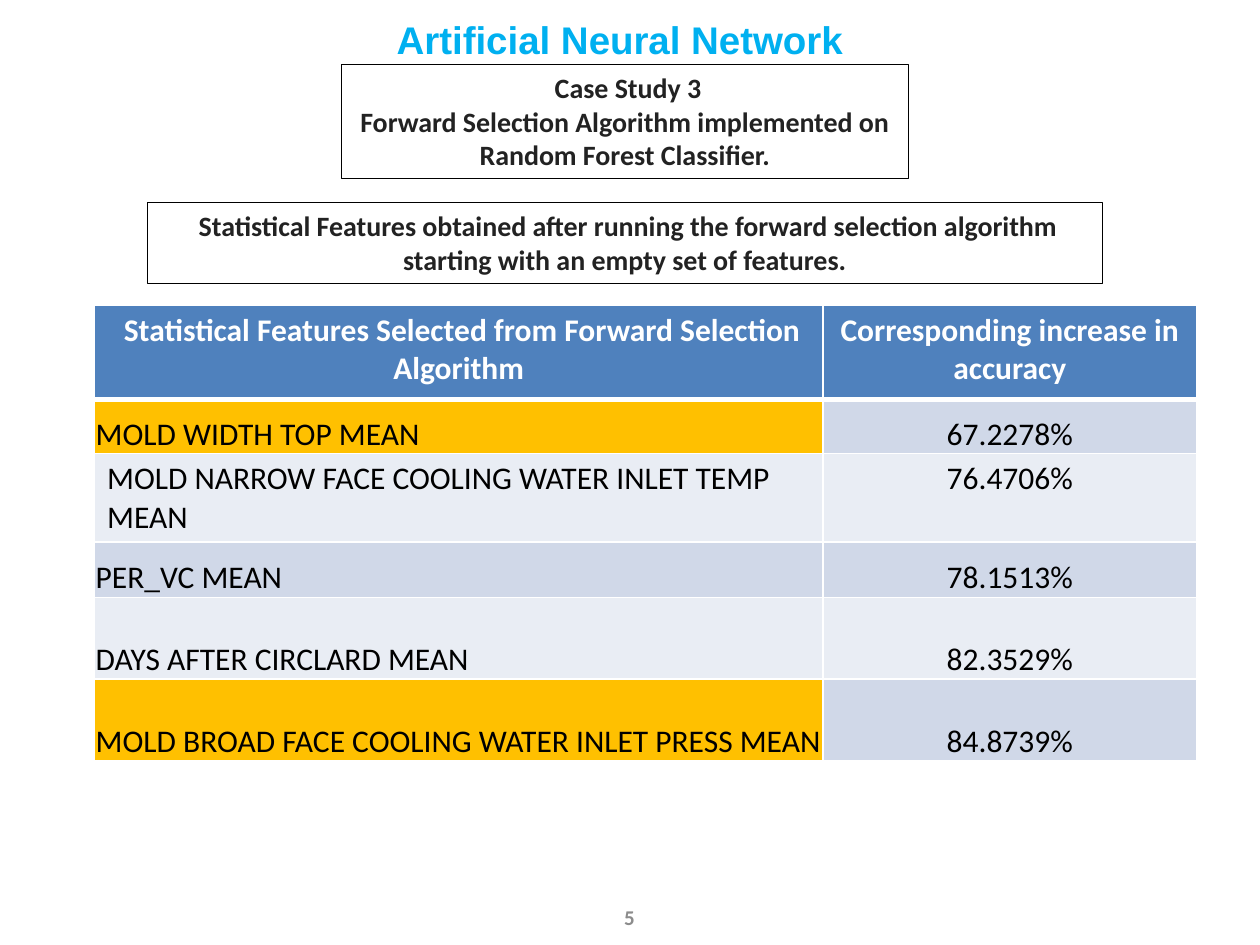
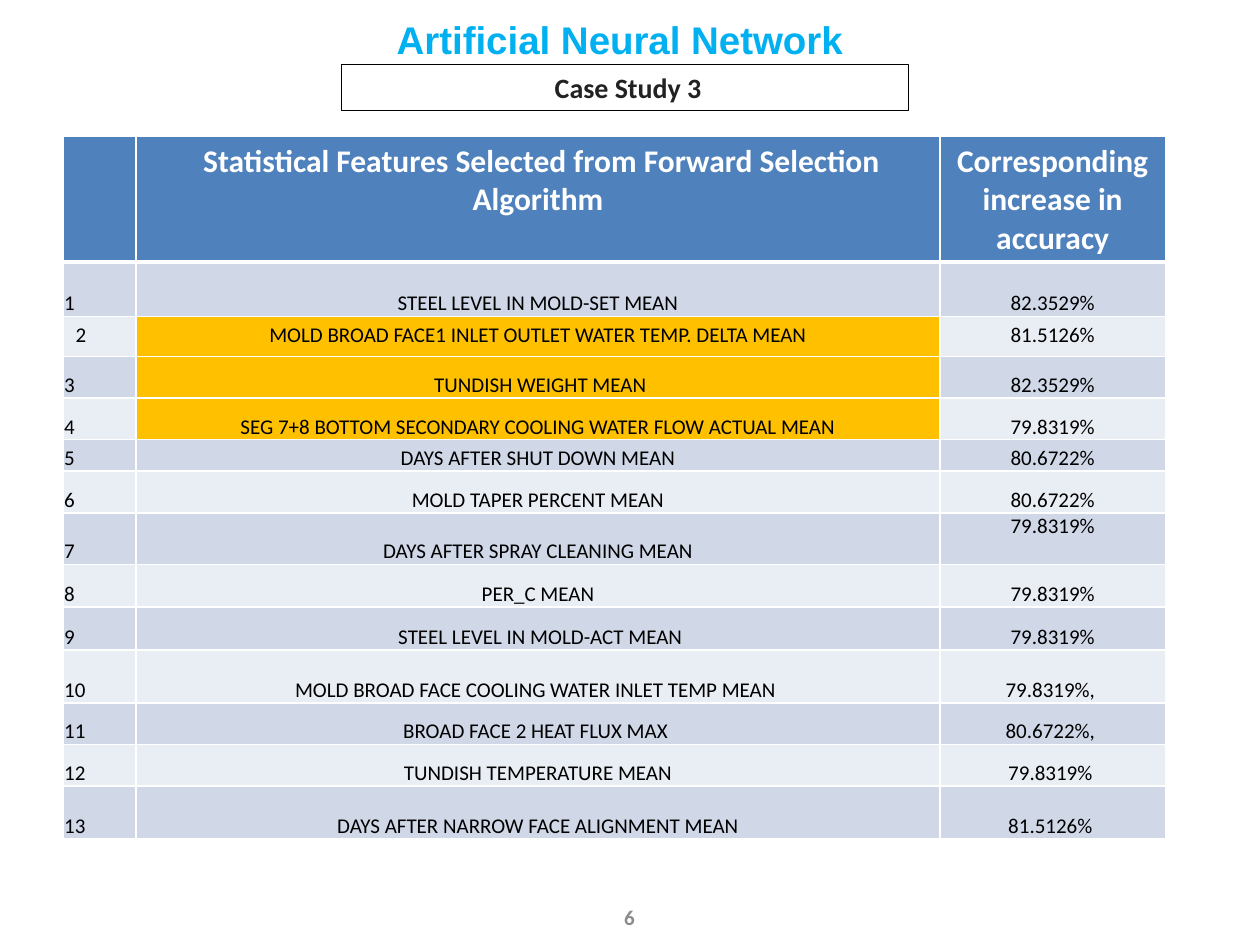
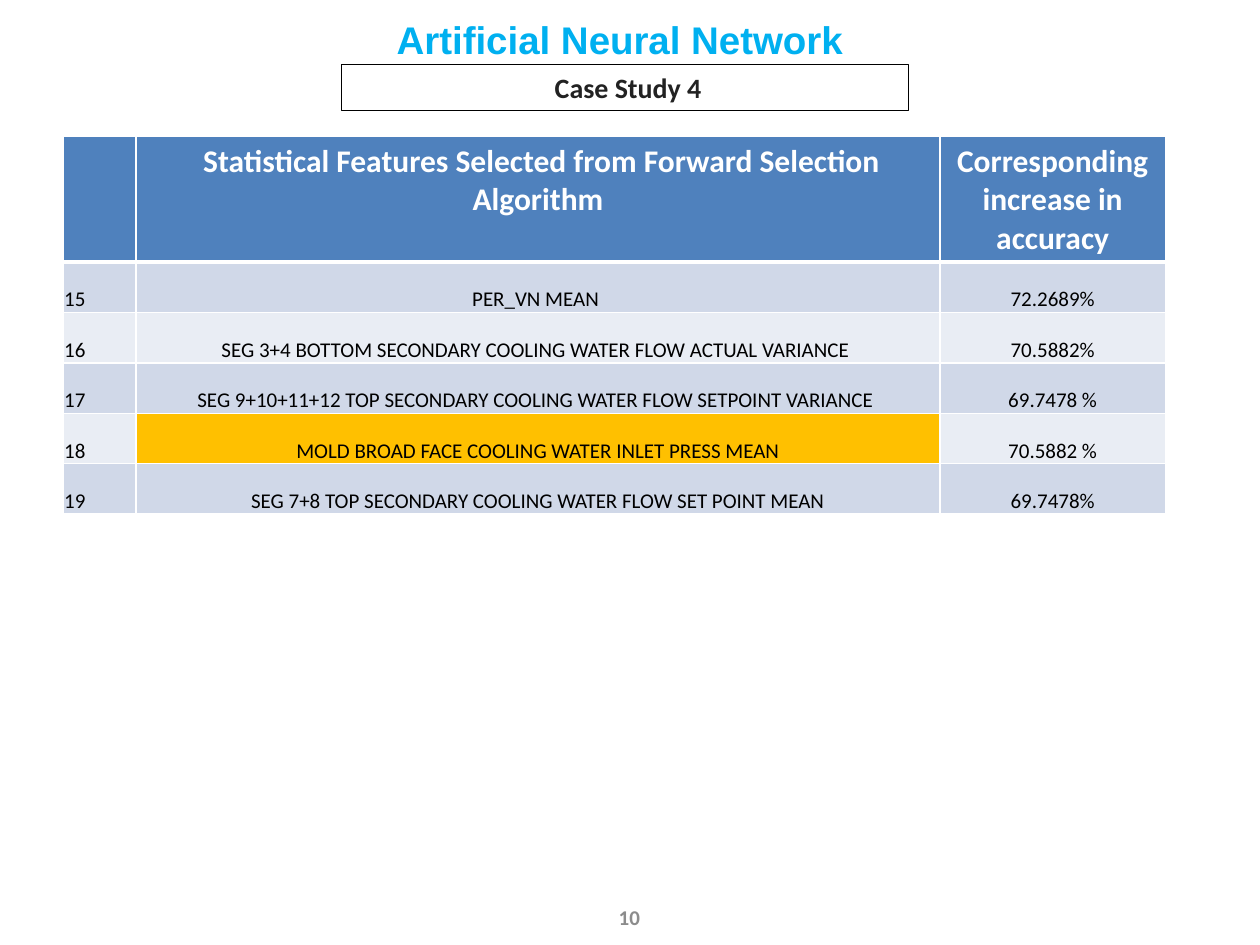
from dataclasses import dataclass

from pptx import Presentation
from pptx.dml.color import RGBColor
from pptx.enum import shapes, text
from pptx.oxml import ns, xmlchemy
from pptx.util import Inches, Pt

CYAN = RGBColor(0x00, 0xB0, 0xF0)
BLACK = RGBColor(0x00, 0x00, 0x00)
WHITE = RGBColor(0xFF, 0xFF, 0xFF)
CHARCOAL = RGBColor(0x22, 0x22, 0x22)
GRAY = RGBColor(0x8C, 0x8C, 0x8C)
HEADER_BLUE = RGBColor(0x4F, 0x81, 0xBD)
BANDS = RGBColor(0xD0, 0xD8, 0xE8), RGBColor(0xE9, 0xED, 0xF4)
AMBER = RGBColor(0xFF, 0xC0, 0x00)

LEFT, CENTER = text.PP_ALIGN.LEFT, text.PP_ALIGN.CENTER
TIGHT = 0.01
FEATURE_HEADERS = (
    " Statistical Features Selected from Forward Selection Algorithm",
    "Corresponding increase in accuracy",
)
NUMBERED_COLUMNS = 0.58, 6.38, 1.79


@dataclass
class Row:
    """A body row; a roomy one has normal margins and text at the top."""
    height: float
    cells: tuple
    marked: bool = False
    roomy: bool = False


class FeatureDeck:
    def __init__(self):
        self.deck = Presentation()
        self.deck.slide_width, self.deck.slide_height = Inches(10), Inches(7.5)
        self.page = None

    def format_text(self, frame, size, color, bold=True, font="Calibri", align=CENTER):
        for para in frame.paragraphs:
            para.alignment = align
            for span in para.runs:
                span.font.name, span.font.size = font, Pt(size)
                span.font.bold, span.font.color.rgb = bold, color

    def add_page(self, number):
        self.page = self.deck.slides.add_slide(self.deck.slide_layouts[6])
        self.add_label(str(number), (4.65, 7.08, 0.69, 0.4), 12, GRAY,
                       anchor=text.MSO_ANCHOR.MIDDLE)
        self.add_label("Artificial Neural Network", (3.05, 0.08, 4.58, 0.27), 22, CYAN,
                       font="Arial", align=LEFT)

    def add_label(self, words, place, size, color, anchor=text.MSO_ANCHOR.TOP, **style):
        box = self.page.shapes.add_textbox(*map(Inches, place))
        frame = box.text_frame
        frame.text = words
        frame.word_wrap = True
        frame.vertical_anchor = anchor
        self.format_text(frame, size, color, **style)

    def add_outlined_box(self, words, place):
        box = self.page.shapes.add_shape(shapes.MSO_SHAPE.RECTANGLE, *map(Inches, place))
        box.shadow.inherit = False
        box.fill.background()
        box.line.color.rgb, box.line.width = BLACK, Pt(0.75)
        frame = box.text_frame
        frame.text = words
        frame.word_wrap = True
        frame.auto_size = text.MSO_AUTO_SIZE.SHAPE_TO_FIT_TEXT
        frame.vertical_anchor = text.MSO_ANCHOR.TOP
        self.format_text(frame, 16, CHARCOAL)

    def add_case_box(self, words, height=0.37):
        self.add_outlined_box(words, (2.71, 0.51, 4.5, height))

    def add_borders(self, cell, bottom):
        properties = cell._tc.get_or_add_tcPr()
        for side, width in zip("LRTB", (1, 1, 1, bottom)):
            line = xmlchemy.OxmlElement(f"a:ln{side}")
            line.set("w", str(Pt(width)))
            fill = line.makeelement(ns.qn("a:solidFill"))
            color = fill.makeelement(ns.qn("a:srgbClr"), {"val": str(WHITE)})
            fill.append(color)
            line.append(fill)
            properties.append(line)

    def paint_cell(self, cell, words, fill, bottom=1):
        self.add_borders(cell, bottom)
        cell.fill.solid()
        cell.fill.fore_color.rgb = fill
        cell.text = words

    def tighten_cell(self, cell):
        cell.margin_left = cell.margin_right = cell.margin_top = Inches(TIGHT)
        cell.margin_bottom = 0
        cell.vertical_anchor = text.MSO_ANCHOR.BOTTOM

    def add_feature_table(self, left, top, widths, headers, header_height, rows, size):
        """Add a banded table; marked rows highlight the feature name."""
        heights = [header_height] + [row.height for row in rows]
        table = self.page.shapes.add_table(
            len(heights), len(widths), Inches(left), Inches(top),
            Inches(sum(widths)), Inches(sum(heights))).table
        for column, width in zip(table.columns, widths):
            column.width = Inches(width)
        for line, height in zip(table.rows, heights):
            line.height = Inches(height)
        for x, words in enumerate(headers):
            cell = table.cell(0, x)
            self.paint_cell(cell, words, HEADER_BLUE, bottom=3)
            self.format_text(cell.text_frame, 18, WHITE)
        feature = len(widths) - 2
        for y, row in enumerate(rows):
            for x, words in enumerate(row.cells):
                cell = table.cell(y + 1, x)
                fill = AMBER if row.marked and x == feature else BANDS[y % 2]
                self.paint_cell(cell, words, fill)
                if not row.roomy:
                    self.tighten_cell(cell)
                self.format_text(cell.text_frame, size, BLACK, bold=False,
                                 align=CENTER if x else LEFT)
        return table

    def add_numbered_table(self, header_height, rows):
        return self.add_feature_table(0.5, 1.08, NUMBERED_COLUMNS, ("", *FEATURE_HEADERS),
                                      header_height, rows, 12)


def build_selected_features(deck):
    deck.add_page(5)
    deck.add_outlined_box(
        " Statistical Features obtained after running the forward selection algorithm "
        "starting with an empty set of features.", (1.17, 1.61, 7.58, 0.64))
    deck.add_feature_table(0.75, 2.42, (5.78, 2.97), FEATURE_HEADERS, 0.75, [
        Row(0.43, ("MOLD WIDTH TOP MEAN", "67.2278%"), marked=True),
        Row(0.5, ("MOLD NARROW FACE COOLING WATER INLET TEMP MEAN", "76.4706%"), roomy=True),
        Row(0.44, ("PER_VC MEAN", "78.1513%")),
        Row(0.65, ("DAYS AFTER CIRCLARD MEAN", "82.3529%")),
        Row(0.65, ("MOLD BROAD FACE COOLING WATER INLET PRESS MEAN", "84.8739%"), marked=True),
    ], 18)
    deck.add_case_box(" Case Study 3\nForward Selection Algorithm implemented on "
                      "Random Forest Classifier.", 0.91)


def build_case_three(deck):
    deck.add_page(6)
    table = deck.add_numbered_table(0.75, [
        Row(0.43, ("1", "STEEL LEVEL IN MOLD-SET MEAN", "82.3529%")),
        Row(0.32, ("2", "MOLD BROAD FACE1 INLET OUTLET WATER TEMP. DELTA MEAN", "81.5126%"),
            marked=True, roomy=True),
        Row(0.33, ("3", " TUNDISH WEIGHT MEAN", "82.3529%"), marked=True),
        Row(0.33, ("4", "SEG 7+8 BOTTOM SECONDARY COOLING WATER FLOW ACTUAL MEAN", "79.8319%"),
            marked=True),
        Row(0.25, ("5", "DAYS AFTER SHUT DOWN MEAN", "80.6722%")),
        Row(0.33, ("6", "MOLD TAPER PERCENT MEAN", "80.6722%")),
        Row(0.41, ("7", "DAYS AFTER SPRAY CLEANING MEAN", "79.8319%")),
        Row(0.34, ("8", "PER_C MEAN", "79.8319%")),
        Row(0.34, ("9", " STEEL LEVEL IN MOLD-ACT MEAN", "79.8319%")),
        Row(0.42, ("10", "MOLD BROAD FACE COOLING WATER INLET TEMP MEAN ", "79.8319%, ")),
        Row(0.33, ("11", "BROAD FACE 2 HEAT FLUX MAX ", "80.6722%, ")),
        Row(0.33, ("12", "TUNDISH TEMPERATURE MEAN", "79.8319% ")),
        Row(0.42, ("13", "DAYS AFTER NARROW FACE ALIGNMENT MEAN", "81.5126% ")),
    ])
    table.cell(7, 2).vertical_anchor = text.MSO_ANCHOR.TOP
    deck.add_case_box(" Case Study 3")


def build_case_four(deck):
    deck.add_page(10)
    deck.add_numbered_table(0.96, [
        Row(0.4, ("15", "PER_VN MEAN ", "72.2689%")),
        Row(0.4, ("16", "SEG 3+4 BOTTOM SECONDARY COOLING WATER FLOW ACTUAL VARIANCE ",
                  "70.5882%")),
        Row(0.4, ("17", "SEG 9+10+11+12 TOP SECONDARY COOLING WATER FLOW SETPOINT VARIANCE ",
                  "69.7478 %")),
        Row(0.4, ("18", "MOLD BROAD FACE COOLING WATER INLET PRESS MEAN", "70.5882 %"),
            marked=True),
        Row(0.4, ("19", "SEG 7+8 TOP SECONDARY COOLING WATER FLOW SET POINT MEAN", "69.7478%")),
    ])
    deck.add_case_box(" Case Study 4")


def main():
    deck = FeatureDeck()
    build_selected_features(deck)
    build_case_three(deck)
    build_case_four(deck)
    deck.deck.save("out.pptx")


if __name__ == "__main__":
    main()
